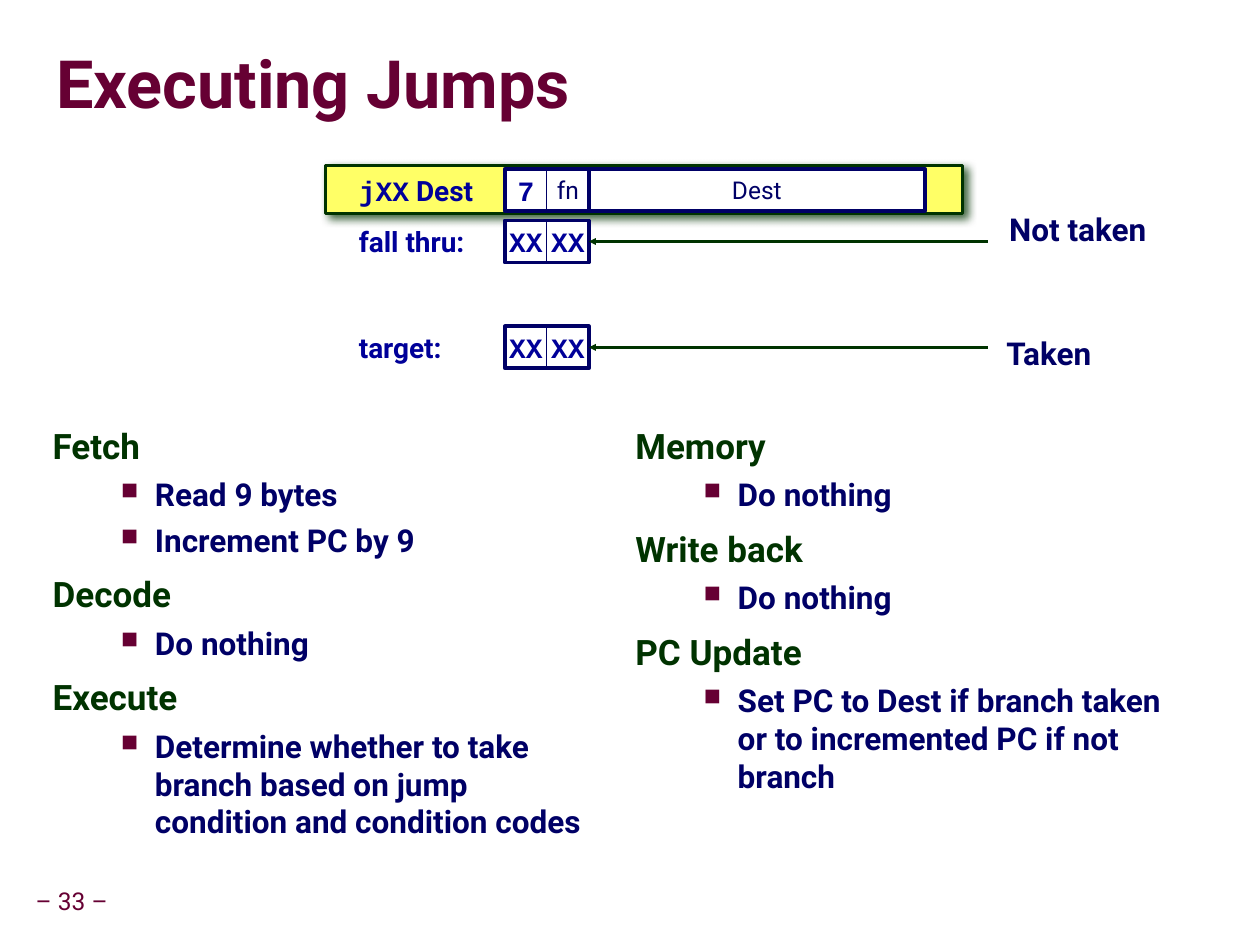
from dataclasses import dataclass

import pptx
import pptx.dml.color
import pptx.enum.shapes
import pptx.enum.text
import pptx.oxml
import pptx.oxml.ns
import pptx.util

Pt = pptx.util.Pt
Align = pptx.enum.text.PP_ALIGN
Anchor = pptx.enum.text.MSO_ANCHOR
RECTANGLE = pptx.enum.shapes.MSO_SHAPE.RECTANGLE


@dataclass(frozen=True)
class Theme:
    sans: str = "Roboto"
    mono: str = "Courier New"
    maroon: str = "660033"
    green: str = "003300"
    navy: str = "000066"
    blue: str = "000099"
    yellow: str = "FFFF66"
    white: str = "FFFFFF"
    title: float = 38
    heading: float = 20
    item: float = 18
    code: float = 16
    small: float = 14


THEME = Theme()
CELL = 24
CODE_LEFT = 288.5
LABEL_LEFT = 198
ARROW_START = 564.5
INSTRUCTION_TOP, FALL_THRU_TOP, TARGET_TOP = 96.5, 126, 186.5
LEFT_COLUMN = [
    ("Fetch", ["Read 9 bytes", "Increment PC by 9"]),
    ("Decode", ["Do nothing"]),
    ("Execute", ["Determine whether to take branch based on jump condition and condition codes"]),
]
RIGHT_COLUMN = [
    ("Memory", ["Do nothing"]),
    ("Write back", ["Do nothing"]),
    ("PC Update", ["Set PC to Dest if branch taken or to incremented PC if not branch"]),
]


def rgb(color):
    return pptx.dml.color.RGBColor.from_string(color)


def add_xml(parent, xml):
    namespace = pptx.oxml.ns.nsdecls("a")
    element = pptx.oxml.parse_xml(xml.replace(">", f" {namespace}>", 1))
    parent.append(element)


def add_shadow(properties, color, alpha):
    add_xml(properties, '<a:effectLst ><a:outerShdw blurRad="63500" dist="38100" dir="2700000">'
            f'<a:srgbClr val="{color}"><a:alpha val="{alpha}000"/></a:srgbClr>'
            "</a:outerShdw></a:effectLst>")


def write(paragraph, text, *, size=THEME.code, color=THEME.blue, font=THEME.sans,
          bold=True, align=None, spacing=None, before=None):
    if align is not None:
        paragraph.alignment = align
    if spacing is not None:
        paragraph.line_spacing = spacing
    if before is not None:
        paragraph.space_before = Pt(before)
    run = paragraph.add_run()
    run.text = text
    run.font.size = Pt(size)
    run.font.name = font
    run.font.bold = bold
    run.font.color.rgb = rgb(color)
    return run


def set_frame(frame, inset=(7.2, 3.6), anchor=Anchor.MIDDLE, wrap=True):
    frame.auto_size = pptx.enum.text.MSO_AUTO_SIZE.NONE
    frame.word_wrap = wrap
    frame.vertical_anchor = anchor
    frame.margin_left = frame.margin_right = Pt(inset[0])
    frame.margin_top = frame.margin_bottom = Pt(inset[1])
    return frame


def add_label(slide, box, text, frame_format=None, **text_format):
    shape = slide.shapes.add_textbox(*map(Pt, box))
    paragraph = set_frame(shape.text_frame, **(frame_format or {})).paragraphs[0]
    write(paragraph, text, **text_format)
    return paragraph


def add_box(slide, box, text="", *, fill=THEME.white, line=THEME.navy, width=2.25, **text_format):
    shape = slide.shapes.add_shape(RECTANGLE, *map(Pt, box))
    shape.shadow.inherit = False
    if fill:
        shape.fill.solid()
        shape.fill.fore_color.rgb = rgb(fill)
    else:
        shape.fill.background()
    shape.line.color.rgb = rgb(line)
    shape.line.width = Pt(width)
    if text:
        frame = set_frame(shape.text_frame, wrap=False)
        write(frame.paragraphs[0], text, align=Align.CENTER, **text_format)
    return shape


def add_byte(slide, top, digits):
    for index, (text, text_format) in enumerate(digits):
        add_box(slide, (CODE_LEFT + index * CELL, top, CELL, CELL), text, width=0.5, **text_format)
    add_box(slide, (CODE_LEFT, top, 2 * CELL, CELL), fill=None)


def add_arrow(slide, top):
    middle = top + CELL / 2
    connector = slide.shapes.add_connector(
        pptx.enum.shapes.MSO_CONNECTOR.STRAIGHT,
        Pt(ARROW_START), Pt(middle), Pt(CODE_LEFT + 2 * CELL), Pt(middle))
    connector.line.color.rgb = rgb(THEME.green)
    connector.line.width = Pt(1.5)
    add_xml(connector.line._get_or_add_ln(), '<a:tailEnd type="triangle" w="sm" len="sm"></a:tailEnd>')
    add_xml(connector._element.spPr, "<a:effectLst ></a:effectLst>")


def add_bullet(paragraph):
    properties = paragraph._p.get_or_add_pPr()
    properties.set("marL", str(Pt(58.5)))
    properties.set("indent", str(Pt(-19.5)))
    add_xml(properties, f'<a:buClr ><a:srgbClr val="{THEME.maroon}"/></a:buClr>')
    add_xml(properties, '<a:buSzPct val="75000"></a:buSzPct>')
    add_xml(properties, '<a:buChar char="■"></a:buChar>')


def add_stages(slide, left, stages):
    shape = slide.shapes.add_textbox(Pt(left), Pt(240.5), Pt(321), Pt(267))
    frame = set_frame(shape.text_frame, anchor=Anchor.TOP)
    for index, (heading, items) in enumerate(stages):
        paragraph = frame.add_paragraph() if index else frame.paragraphs[0]
        write(paragraph, heading, size=THEME.heading, color=THEME.green,
              spacing=0.95, before=10 if index else None)
        for item in items:
            paragraph = frame.add_paragraph()
            add_bullet(paragraph)
            write(paragraph, item, size=THEME.item, color=THEME.navy, before=4.5)


def add_title(slide, text):
    title = slide.shapes.title
    title.left, title.top, title.width, title.height = map(Pt, (32, 19.5, 686, 61))
    paragraph = set_frame(title.text_frame, inset=(0, 0)).paragraphs[0]
    run = write(paragraph, text, size=THEME.title, color=THEME.maroon,
                align=Align.LEFT, spacing=0.87)
    properties = run.font._element
    add_shadow(properties, "000000", 40)
    properties.insert(1, properties[-1])


def add_diagram(slide):
    band = add_box(slide, (186, 94.5, 364, 27.5), fill=THEME.yellow, line=THEME.green, width=1.5)
    band.shadow.inherit = True
    add_shadow(band._element.spPr, THEME.green, 75)

    code = {"font": THEME.mono}
    plain = {"size": THEME.small, "color": THEME.navy, "bold": False}
    instruction = add_label(slide, (LABEL_LEFT, INSTRUCTION_TOP, 88, CELL), "jXX", **code)
    write(instruction, " Dest")
    add_byte(slide, INSTRUCTION_TOP, [("7", code), ("fn", plain)])
    add_box(slide, (CODE_LEFT + 2 * CELL, INSTRUCTION_TOP, 8 * CELL, CELL), "Dest", **plain)

    for top, text in [(FALL_THRU_TOP, "fall thru:"), (TARGET_TOP, "target:")]:
        add_label(slide, (LABEL_LEFT, top, 88, CELL), text)
        add_byte(slide, top, [("XX", code)] * 2)
        add_arrow(slide, top)

    for box, text in [((573, 119, 90, 27), "Not taken"), ((571.5, 189.5, 58.5, 27), "Taken")]:
        add_label(slide, box, text, {"inset": (3.6, 3.6), "anchor": Anchor.TOP},
                  size=THEME.item, color=THEME.navy, spacing=0.9)


def main():
    presentation = pptx.Presentation()
    presentation.slide_width, presentation.slide_height = Pt(720), Pt(540)
    slide = presentation.slides.add_slide(presentation.slide_layouts[5])
    add_title(slide, "Executing Jumps")
    add_diagram(slide)
    add_stages(slide, 23, LEFT_COLUMN)
    add_stages(slide, 356, RIGHT_COLUMN)
    add_label(slide, (16.5, 504, 49, 23), "– 33 –", {"inset": (3.6, 3.6), "wrap": False},
              size=THEME.small, color=THEME.maroon, bold=False, align=Align.CENTER, spacing=0.9)
    presentation.save("out.pptx")


if __name__ == "__main__":
    main()
